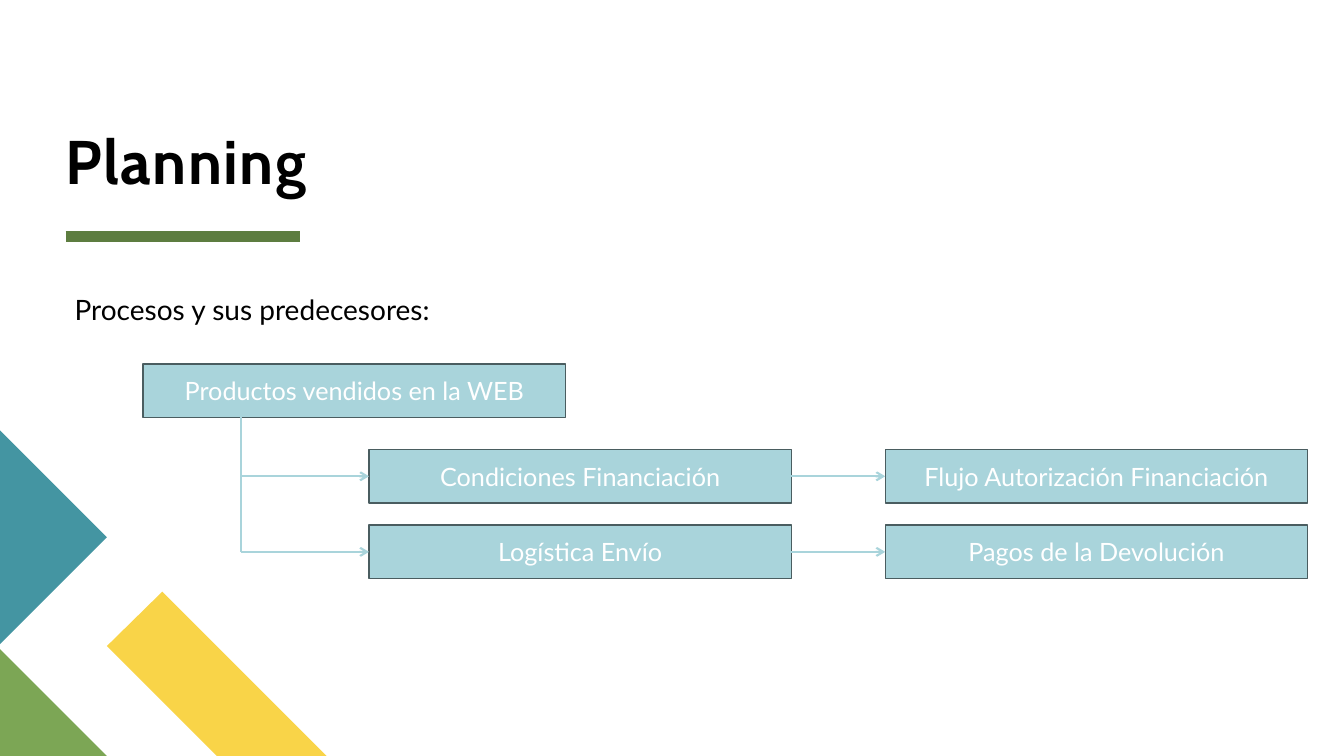
from lxml import etree
from pptx import Presentation
from pptx.dml.color import RGBColor
from pptx.enum.shapes import MSO_CONNECTOR, MSO_SHAPE
from pptx.enum.text import MSO_ANCHOR, PP_ALIGN
from pptx.oxml.ns import qn
from pptx.util import Pt

PX = 9144
STRAIGHT = MSO_CONNECTOR.STRAIGHT
RECTANGLE = MSO_SHAPE.RECTANGLE
TOP, MIDDLE, BOTTOM = MSO_ANCHOR.TOP, MSO_ANCHOR.MIDDLE, MSO_ANCHOR.BOTTOM
LEFT, CENTER = PP_ALIGN.LEFT, PP_ALIGN.CENTER
LEFT_SIDE, RIGHT_SIDE = 1, 3
PALE_BLUE = "A9D4DB"


def color(hex_value):
    """Return the colour of a hex string."""
    return RGBColor.from_string(hex_value)


def px(*lengths):
    """Turn px lengths into EMU."""
    return [length * PX for length in lengths]


def set_attributes(target, values):
    """Set every attribute named in a dict."""
    for name, value in values.items():
        setattr(target, name, value)


def write(shape, text, font, frame, paragraph):
    """Write one formatted paragraph into a shape and return its run."""
    set_attributes(shape.text_frame, {"word_wrap": True, **frame})
    line = shape.text_frame.paragraphs[0]
    set_attributes(line, paragraph)
    run = line.add_run()
    run.text = text
    hex_value, name, size, bold = font
    set_attributes(run.font, {"name": name, "size": Pt(size), "bold": bold})
    run.font.color.rgb = color(hex_value)
    return run


def add_line(slide, start, end, hex_value, width, arrow=False):
    """Draw a straight line between two EMU points."""
    line = slide.shapes.add_connector(STRAIGHT, *start, *end)
    line.line.color.rgb = color(hex_value)
    line.line.width = Pt(width)
    if arrow:
        etree.SubElement(line.line._get_or_add_ln(), qn("a:tailEnd"), type="arrow")
    etree.SubElement(line._element.spPr, qn("a:effectLst"))
    return line


def add_corner_art(slide, left, bottom):
    """Draw the coloured polygons that rise from the bottom left corner."""
    polygons = {
        "F9D448": [(324, 0), (215, 0), (106, 109), (161, 163)],
        "7CA655": [(106, 0), (0, 0), (0, 106)],
        "4495A2": [(0, 323), (106, 217), (0, 111)],
    }
    for hex_value, corners in polygons.items():
        points = [(left + x, bottom - y) for x, y in corners]
        builder = slide.shapes.build_freeform(*points[0], scale=PX)
        builder.add_line_segments(points[1:], close=True)
        polygon = builder.convert_to_shape()
        polygon.shadow.inherit = False
        polygon.fill.solid()
        polygon.fill.fore_color.rgb = color(hex_value)
        polygon.line.fill.background()


def add_heading(slide, left, top, width, height):
    """Place the title with its rule and the subtitle below it."""
    no_insets = dict.fromkeys(
        ("margin_left", "margin_top", "margin_right", "margin_bottom"), 0)
    rule_y = top + height + 40
    add_line(slide, px(left, rule_y), px(left + 233, rule_y), "5D7D40", 8)
    title = slide.shapes.add_textbox(*px(left, top, width, height))
    run = write(title, "Planning", ("000000", "Cabin", 44, True),
                {**no_insets, "vertical_anchor": BOTTOM},
                {"alignment": LEFT, "line_spacing": 0.8})
    run.font._element.set("spc", "100")
    subtitle = slide.shapes.add_textbox(*px(left + 9, top + 278, 1069, 72))
    write(subtitle, "Procesos y sus predecesores:", ("000000", "Lato", 20, False),
          {**no_insets, "margin_top": 5 * PX, "vertical_anchor": TOP},
          {"alignment": LEFT, "line_spacing": 0.9, "space_before": Pt(18)})


def add_process(slide, text, left, top):
    """Place one process box."""
    process = slide.shapes.add_shape(RECTANGLE, *px(left, top, 419, 53))
    process.shadow.inherit = False
    process.fill.solid()
    process.fill.fore_color.rgb = color(PALE_BLUE)
    process.line.color.rgb = color("4A5D60")
    process.line.width = Pt(1)
    write(process, text, ("FFFFFF", "Lato", 18, False),
          {"vertical_anchor": MIDDLE}, {"alignment": CENTER})
    return process


def add_process_tree(slide, left, top):
    """Draw the processes and the arrows from their predecessors."""
    branches = [
        (85, "Condiciones Financiación", "Flujo Autorización Financiación"),
        (160, "Logística Envío", "Pagos de la Devolución"),
    ]
    root = add_process(slide, "Productos vendidos en la WEB", left, top)
    trunk_x = (left + 97) * PX
    for offset, parent_name, child_name in branches:
        parent = add_process(slide, parent_name, left + 224, top + offset)
        child = add_process(slide, child_name, left + 736, top + offset)
        middle = parent.top + parent.height // 2
        branch = add_line(slide, (trunk_x, middle), (parent.left, middle),
                          PALE_BLUE, 1.5, arrow=True)
        branch.end_connect(parent, LEFT_SIDE)
        link = add_line(slide, (parent.left + parent.width, middle),
                        (child.left, middle), PALE_BLUE, 1.5, arrow=True)
        link.begin_connect(parent, RIGHT_SIDE)
        link.end_connect(child, LEFT_SIDE)
    add_line(slide, (trunk_x, root.top + root.height), (trunk_x, middle),
             PALE_BLUE, 1.5)


def main():
    """Build the planning slide."""
    deck = Presentation()
    deck.slide_width, deck.slide_height = px(1333, 750)
    slide = deck.slides.add_slide(deck.slide_layouts[6])
    add_corner_art(slide, 0, 750)
    add_heading(slide, 65, 11, 1189, 184)
    add_process_tree(slide, 142, 361)
    deck.save("out.pptx")


if __name__ == "__main__":
    main()
